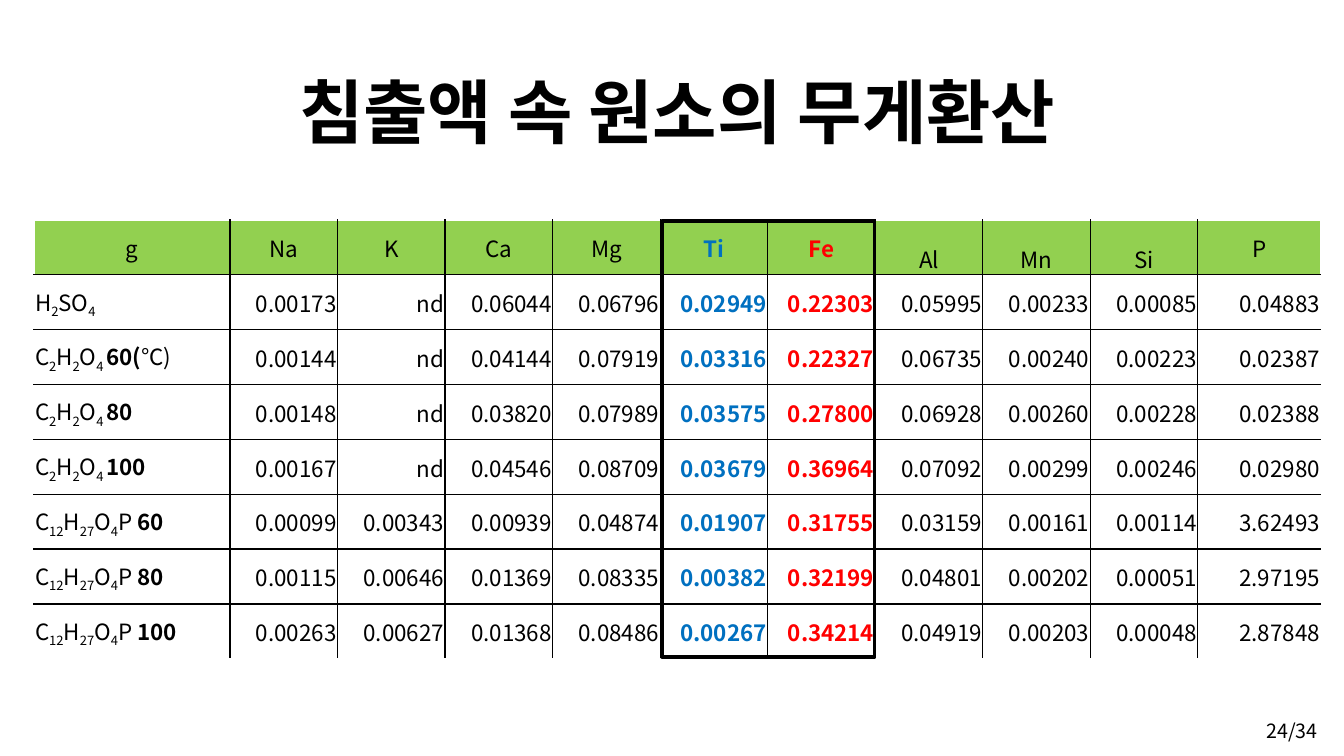
"""Build the slide that lists element weights in the leachates."""
import itertools

import lxml.etree
import pptx
import pptx.dml.color
import pptx.enum.shapes
import pptx.enum.text
import pptx.oxml.ns
import pptx.util

PX = 914400 / 100.8
FONT = "Noto Sans CJK KR"
COLORS = {"ink": "000000", "edge": "FFFFFF", "header": "92D050", "Ti": "0070C0", "Fe": "FF0000"}
ALIGN = pptx.enum.text.PP_ALIGN
ANCHOR = pptx.enum.text.MSO_ANCHOR
qn = pptx.oxml.ns.qn

ELEMENTS = "Na K Ca Mg Ti Fe Al Mn Si P".split()
LEACHATES = [
    ("H2SO4", "", "", "0.00173 nd 0.06044 0.06796 0.02949 0.22303 0.05995 0.00233 0.00085 0.04883"),
    ("C2H2O4 ", "60(", "℃)", "0.00144 nd 0.04144 0.07919 0.03316 0.22327 0.06735 0.00240 0.00223 0.02387"),
    ("C2H2O4 ", "80", "", "0.00148 nd 0.03820 0.07989 0.03575 0.27800 0.06928 0.00260 0.00228 0.02388"),
    ("C2H2O4 ", "100", "", "0.00167 nd 0.04546 0.08709 0.03679 0.36964 0.07092 0.00299 0.00246 0.02980"),
    ("C12H27O4P", " 60", "", "0.00099 0.00343 0.00939 0.04874 0.01907 0.31755 0.03159 0.00161 0.00114 3.62493"),
    ("C12H27O4P", " 80", "", "0.00115 0.00646 0.01369 0.08335 0.00382 0.32199 0.04801 0.00202 0.00051 2.97195"),
    ("C12H27O4P", " 100", "", "0.00263 0.00627 0.01368 0.08486 0.00267 0.34214 0.04919 0.00203 0.00048 2.87848"),
]


def px(*lengths):
    return [round(length * PX) for length in lengths]


def style(paragraph, size, align, color="ink", bold=False):
    paragraph.alignment = align
    font = paragraph.font
    font.name, font.size, font.bold = FONT, pptx.util.Pt(size), bold
    font.color.rgb = pptx.dml.color.RGBColor.from_string(COLORS[color])
    lxml.etree.SubElement(font._element, qn("a:ea"), typeface=FONT)


deck = pptx.Presentation()
deck.slide_width, deck.slide_height = px(1344, 756)
slide = deck.slides.add_slide(deck.slide_layouts[5])

title = slide.shapes.title
title.left, title.top, title.width, title.height = px(98, 43, 1159, 146)
title.text_frame.text = "침출액 속 원소의 무게환산"
title.text_frame.vertical_anchor = ANCHOR.MIDDLE
title.text_frame.paragraphs[0].line_spacing = 0.9
style(title.text_frame.paragraphs[0], 50, ALIGN.CENTER, bold=True)

row_count, column_count = len(LEACHATES) + 1, len(ELEMENTS) + 1
weights = slide.shapes.add_table(row_count, column_count, *px(34, 220, 1287, 439)).table
weights.first_row = weights.horz_banding = False
for column, width in zip(weights.columns, px(196, *[968 / 9] * 9, 123)):
    column.width = width
for row in weights.rows:
    row.height = px(439 / row_count)[0]

grid = [["g", *ELEMENTS]] + [["", *values.split()] for *_, values in LEACHATES]
for r, c in itertools.product(range(row_count), range(column_count)):
    cell = weights.cell(r, c)
    cell.margin_left, cell.margin_right, cell.margin_top, cell.margin_bottom = px(1, 1, 1, 0)
    element = grid[0][c]
    low_header = r == 0 and element in ("Al", "Mn", "Si")
    cell.vertical_anchor = ANCHOR.BOTTOM if low_header else ANCHOR.MIDDLE

    outer = {"lnL": c == 0, "lnR": c == column_count - 1, "lnT": r == 0, "lnB": r == row_count - 1}
    for side, is_outer in outer.items():
        border = lxml.etree.SubElement(cell._tc.get_or_add_tcPr(), qn(f"a:{side}"), w="12700")
        paint = lxml.etree.SubElement(border, qn("a:solidFill"))
        lxml.etree.SubElement(paint, qn("a:srgbClr"), val=COLORS["edge" if is_outer else "ink"])
    if r == 0:
        cell.fill.solid()
        cell.fill.fore_color.rgb = pptx.dml.color.RGBColor.from_string(COLORS["header"])
    else:
        cell.fill.background()

    paragraph = cell.text_frame.paragraphs[0]
    if r and c == 0:
        formula, temperature, unit, _ = LEACHATES[r - 1]
        for is_subscript, letters in itertools.groupby(formula, lambda s: s.isdigit() or s == " "):
            part = paragraph.add_run()
            part.text = "".join(letters)
            if is_subscript:
                part._r.get_or_add_rPr().set("baseline", "-25000")
        for text, bold in ((temperature, True), (unit, False)):
            if text:
                part = paragraph.add_run()
                part.text, part.font.bold = text, bold
        style(paragraph, 16, ALIGN.LEFT)
    else:
        paragraph.add_run().text = grid[r][c]
        highlighted = element in ("Ti", "Fe")
        align = ALIGN.RIGHT if r else ALIGN.CENTER
        style(paragraph, 16, align, element if highlighted else "ink", highlighted)

highlight = slide.shapes.add_shape(pptx.enum.shapes.MSO_SHAPE.RECTANGLE, *px(662, 221, 213, 436))
highlight.shadow.inherit = False
highlight.fill.background()
highlight.line.color.rgb = pptx.dml.color.RGBColor.from_string(COLORS["ink"])
highlight.line.width = pptx.util.Pt(2.25)

page_number = slide.shapes.add_textbox(*px(1239, 707, 106, 51)).text_frame
page_number.word_wrap = True
page_number.vertical_anchor = ANCHOR.MIDDLE
page_number.text = "24/34"
page_number.paragraphs[0].line_spacing = 0.9
style(page_number.paragraphs[0], 14, ALIGN.CENTER)

deck.save("out.pptx")
